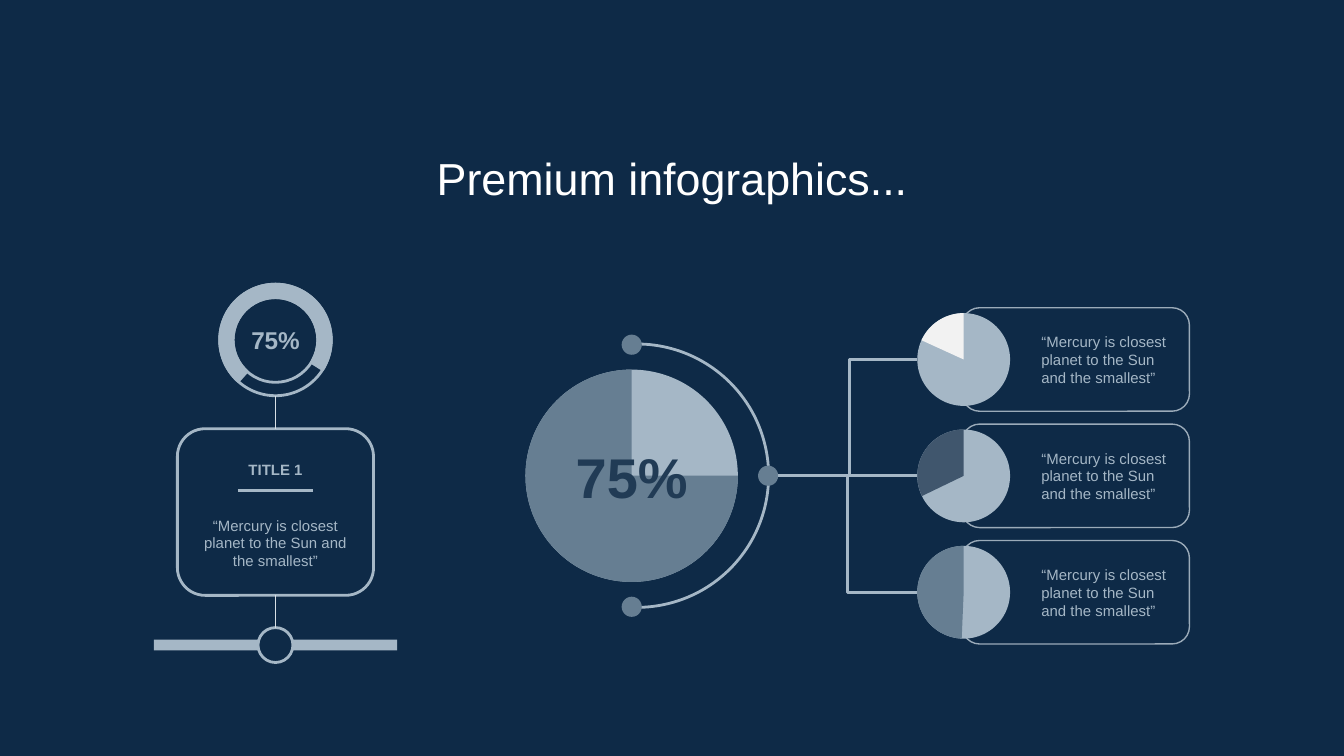
from lxml import etree
from pptx import Presentation
from pptx import util as u
from pptx.dml import color
from pptx.enum import shapes, text
from pptx.oxml import ns

deck = Presentation()
deck.slide_width = u.Inches(10)
deck.slide_height = deck.slide_width * 9 // 16
COL, ROW = deck.slide_width / 100, deck.slide_height / 56.25
rgb = color.RGBColor.from_string
KIND, LINK = shapes.MSO_SHAPE, shapes.MSO_CONNECTOR
NAVY, PALE, STEEL = "0E2A47", "A5B7C6", "667E92"
QUOTE = "“Mercury is closest planet to the Sun and the smallest”"

slide = deck.slides.add_slide(deck.slide_layouts[6])
slide.background.fill.solid()
slide.background.fill.fore_color.rgb = rgb(NAVY)
canvas = slide.shapes


def draw(parent, kind, left, top, width, height, fill=None, line=None, weight=1.5, adjust=()):
    part = parent.add_shape(kind, int(left * COL), int(top * ROW), int(width * COL), int(height * ROW))
    part.shadow.inherit = False
    if fill:
        part.fill.solid()
        part.fill.fore_color.rgb = rgb(fill)
    else:
        part.fill.background()
    if line:
        part.line.color.rgb = rgb(line)
        part.line.width = u.Pt(weight)
    else:
        part.line.fill.background()
    for index, value in enumerate(adjust):
        part.adjustments[index] = value
    return part


def write(words, left, top, width, height, size, ink, bold=False,
          align=text.PP_ALIGN.CENTER, anchor=text.MSO_ANCHOR.MIDDLE):
    label = canvas.add_textbox(int(left * COL), int(top * ROW), int(width * COL), int(height * ROW))
    frame = label.text_frame
    frame.word_wrap = True
    frame.vertical_anchor = anchor
    frame.margin_left = frame.margin_right = frame.margin_top = frame.margin_bottom = u.Inches(0.1)
    paragraph = frame.paragraphs[0]
    paragraph.alignment = align
    run = paragraph.add_run()
    run.text = words
    run.font.name, run.font.size, run.font.bold = "Arial", u.Pt(size), bold
    run.font.color.rgb = rgb(ink)


draw(canvas, KIND.ARC, 37.6, 25.6, 19.6, 19.6, line=PALE, adjust=(162, 52.98))
draw(canvas, KIND.RECTANGLE, 11.45, 47.6, 18.1, 0.8, PALE)
write("Premium infographics...", 11.45, 10.2, 77.1, 5.3, 24, "FFFFFF", anchor=text.MSO_ANCHOR.TOP)

ring = canvas.add_group_shape().shapes
draw(ring, KIND.DONUT, 16.35, 21.15, 8.3, 8.3, line=PALE, adjust=(0.12,))
draw(ring, KIND.BLOCK_ARC, 16.35, 21.15, 8.3, 8.3, PALE, PALE, adjust=(79.14, 19.26, 0.12))
title_card = draw(canvas, KIND.ROUNDED_RECTANGLE, 13.2, 31.9, 14.6, 12.4, line=PALE)
timeline_node = draw(canvas, KIND.OVAL, 19.2, 46.7, 2.6, 2.6, NAVY, PALE)
write(QUOTE, 14.15, 37.9, 12.7, 5, 8, PALE)
write("TITLE 1", 15.9, 33.75, 9.2, 2.4, 8, PALE, True)
write("75%", 17.35, 23.3, 6.3, 4, 13, PALE, True)

big_pie = canvas.add_group_shape().shapes
draw(big_pie, KIND.OVAL, 39.1, 27.5, 15.8, 15.8, PALE)
draw(big_pie, KIND.PIE, 39.1, 27.5, 15.8, 15.8, STEEL, adjust=(0, 162))

for index, (slice_colour, slice_start) in enumerate([("F2F2F2", 122.72), ("40566D", 92.53), (STEEL, 55.44)]):
    top = 22.9 + 8.66 * index
    draw(canvas, KIND.ROUNDED_RECTANGLE, 71.6, top, 16.9, 7.7, line="9BABB9", weight=0.75)
    small_pie = canvas.add_group_shape().shapes
    draw(small_pie, KIND.OVAL, 68.25, top + 0.4, 6.9, 6.9, PALE)
    draw(small_pie, KIND.PIE, 68.25, top + 0.4, 6.9, 6.9, slice_colour, adjust=(slice_start, 162))
    write(QUOTE, 76.5, top + 1.45, 12.4, 4.8, 8, PALE, align=text.PP_ALIGN.LEFT)

for left, top in [(46.25, 24.9), (46.25, 44.4), (56.4, 34.65)]:
    draw(canvas, KIND.OVAL, left, top, 1.5, 1.5, STEEL)

links = []
for kind, x1, y1, x2, y2, ink, weight in [
    (LINK.STRAIGHT, 20.5, 29.5, 20.5, 31.9, "D7DFE5", 0.75),
    (LINK.STRAIGHT, 20.5, 44.3, 20.5, 46.7, "D7DFE5", 0.75),
    (LINK.STRAIGHT, 17.7, 36.5, 23.3, 36.5, PALE, 1.5),
    (LINK.ELBOW, 57.9, 35.4, 68.25, 26.75, PALE, 1.5),
    (LINK.ELBOW, 57.9, 35.4, 68.25, 44.1, PALE, 1.5),
    (LINK.ELBOW, 57.9, 35.4, 68.25, 35.4, PALE, 1.5),
]:
    link = canvas.add_connector(kind, int(x1 * COL), int(y1 * ROW), int(x2 * COL), int(y2 * ROW))
    link.line.color.rgb = rgb(ink)
    link.line.width = u.Pt(weight)
    etree.SubElement(link._element.spPr, ns.qn("a:effectLst"))
    links.append(link)

links[0].end_connect(title_card, 0)
links[1].begin_connect(title_card, 2)
links[1].end_connect(timeline_node, 0)
bend = links[3]._element.spPr.find(ns.qn("a:prstGeom")).find(ns.qn("a:avLst"))
etree.SubElement(bend, ns.qn("a:gd"), name="adj1", fmla="val 51500")

write("75%", 41.55, 32, 10.9, 6.9, 30, "213B55", True)

deck.save("out.pptx")
